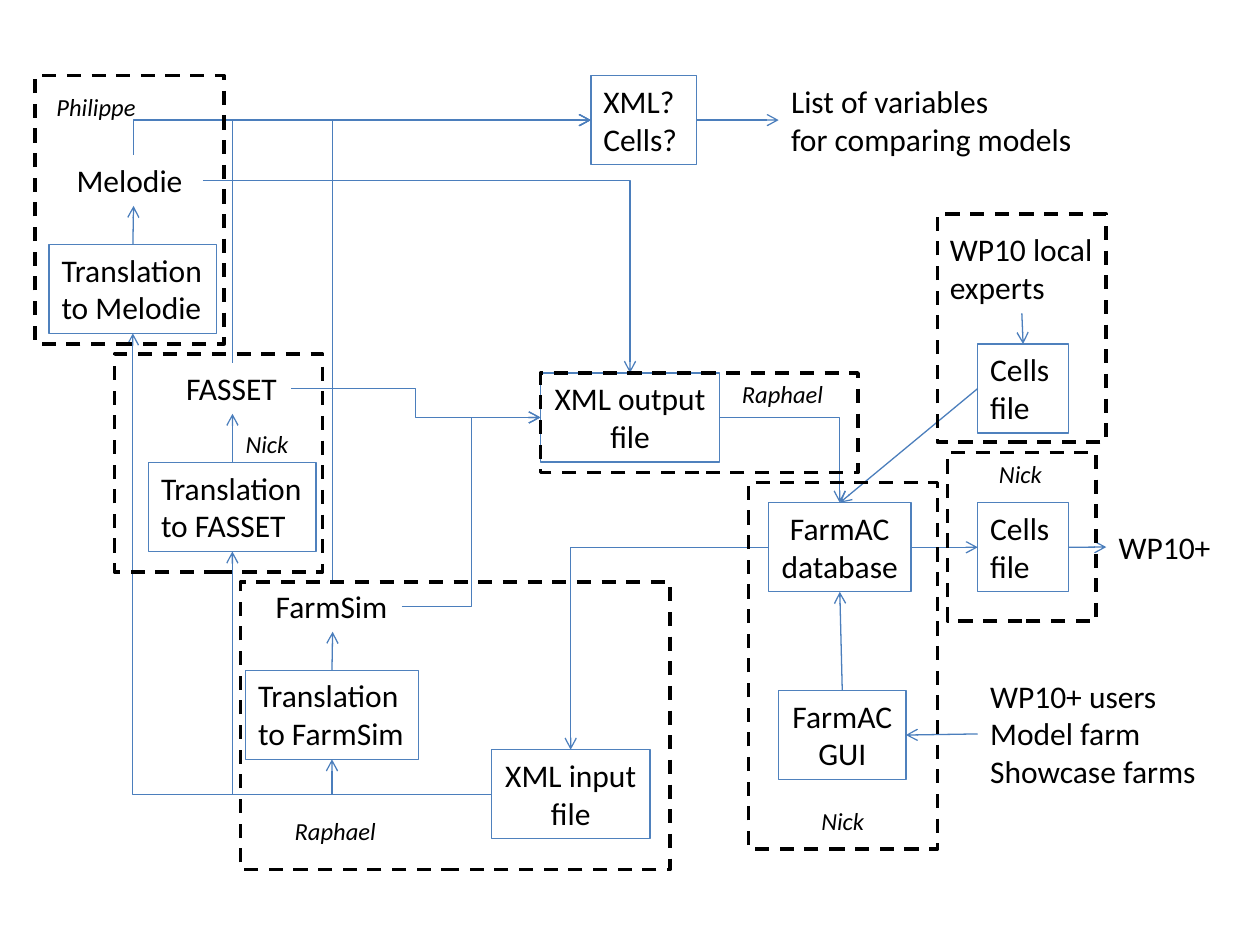
from pptx import Presentation
from pptx.dml.color import RGBColor
from pptx.enum.dml import MSO_LINE
from pptx.enum.shapes import MSO_CONNECTOR, MSO_SHAPE
from pptx.enum.text import MSO_AUTO_SIZE, PP_ALIGN
from pptx.oxml.ns import qn
from pptx.util import Inches, Pt
from lxml.etree import SubElement

COLORS = {"text": "000000", "box": "4F81BD", "arrow": "4B7EBC", "group": "000000"}
TOP, LEFT, BOTTOM, RIGHT = range(4)

deck = Presentation()
deck.slide_width, deck.slide_height = Inches(10), Inches(7.5)
COL, ROW = deck.slide_width / 100, deck.slide_height / 75
slide = deck.slides.add_slide(deck.slide_layouts[6])


def grid(left, top, width, height):
    return int(left * COL), int(top * ROW), int(width * COL), int(height * ROW)


def label(area, lines, size=18, italic=False, centred=False, wrap=False):
    box = slide.shapes.add_textbox(*grid(*area))
    frame = box.text_frame
    frame.word_wrap = wrap
    frame.auto_size = MSO_AUTO_SIZE.SHAPE_TO_FIT_TEXT
    frame.text = lines
    for paragraph in frame.paragraphs:
        paragraph.alignment = PP_ALIGN.CENTER if centred else PP_ALIGN.LEFT
        paragraph.font.name = "Calibri"
        paragraph.font.size = Pt(size)
        paragraph.font.italic = italic
        paragraph.font.color.rgb = RGBColor.from_string(COLORS["text"])
    return box


BOX_HEIGHT = 7.07
boxes = {
    "comparison": (46.9, 6, 8.4, "XML?\nCells?", False),
    "output": (42.9, 29.6, 14.2, "XML output\nfile", True),
    "database": (61, 39.9, 11.3, "FarmAC\ndatabase", True),
    "gui": (61.8, 54.8, 10.1, "FarmAC\nGUI", True),
    "input": (39, 59.5, 12.6, "XML input\nfile", True),
    "to_melodie": (3.9, 19.4, 13.3, "Translation\nto Melodie", False),
    "to_farmsim": (19.5, 53.2, 13.7, "Translation\nto FarmSim", False),
    "to_fasset": (11.8, 36.7, 13.3, "Translation\nto FASSET", False),
    "expert_file": (77.6, 27.3, 7.2, "Cells\nfile", False),
    "result_file": (77.6, 39.9, 7.2, "Cells\nfile", False),
}
texts = {
    "fasset": (13.8, 28.8, 9.3, 4.04, "FASSET"),
    "farmsim": (20.9, 46.1, 11, 4.04, "FarmSim"),
    "melodie": (5.1, 12.3, 11, 4.04, "Melodie"),
    "wp10": (87.8, 41.4, 9.4, 4.04, "WP10+"),
    "users": (77.6, 53.2, 18.5, 10.1, "WP10+ users\nModel farm\nShowcase farms"),
    "variables": (61.8, 6, 24.5, 7.07, "List of variables\nfor comparing models"),
    "experts": (74.4, 17.8, 13.4, 7.07, "WP10 local\nexperts"),
}
nodes = {}
for key, (left, top, width, lines, centred) in boxes.items():
    nodes[key] = label((left, top, width, BOX_HEIGHT), lines, centred=centred)
    nodes[key].line.color.rgb = RGBColor.from_string(COLORS["box"])
    nodes[key].line.width = Pt(0.75)
for key, (*area, lines) in texts.items():
    nodes[key] = label(area, lines, wrap=key == "melodie")

straight, corner, step = "line", "bentConnector2", "bentConnector3"
links = [
    ("database", RIGHT, "result_file", LEFT, straight, "tailEnd"),
    ("users", LEFT, "gui", RIGHT, straight, "tailEnd"),
    ("comparison", RIGHT, "variables", LEFT, straight, "tailEnd"),
    ("gui", TOP, "database", BOTTOM, straight, "tailEnd"),
    ("expert_file", LEFT, "database", TOP, straight, "tailEnd"),
    ("experts", BOTTOM, "expert_file", TOP, straight, "tailEnd"),
    ("result_file", RIGHT, "wp10", LEFT, straight, "tailEnd"),
    ("melodie", RIGHT, "output", TOP, corner, "tailEnd"),
    ("output", RIGHT, "database", TOP, corner, "tailEnd"),
    ("database", LEFT, "input", TOP, corner, "tailEnd"),
    ("fasset", RIGHT, "output", LEFT, step, "tailEnd"),
    ("farmsim", RIGHT, "output", LEFT, step, "tailEnd"),
]
for model in ("melodie", "fasset", "farmsim"):
    links += [
        ("to_" + model, TOP, model, BOTTOM, straight, "tailEnd"),
        ("input", LEFT, "to_" + model, BOTTOM, corner, "tailEnd"),
        ("comparison", LEFT, model, TOP, corner, "headEnd"),
    ]
for source, source_side, target, target_side, route, arrow_end in links:
    kind = MSO_CONNECTOR.STRAIGHT if route == straight else MSO_CONNECTOR.ELBOW
    link = slide.shapes.add_connector(kind, 0, 0, 0, 0)
    link.begin_connect(nodes[source], source_side)
    link.end_connect(nodes[target], target_side)
    link.line.color.rgb = RGBColor.from_string(COLORS["arrow"])
    link.line.width = Pt(0.75)
    properties = link._element.spPr
    properties.find(qn("a:prstGeom")).set("prst", route)
    SubElement(properties.find(qn("a:ln")), qn("a:" + arrow_end)).set("type", "arrow")
    SubElement(properties, qn("a:effectLst"))

owners = [
    (3.5, 6.8, 8.4, "Philippe"),
    (64.2, 63.5, 5.5, "Nick"),
    (18.5, 33.6, 5.5, "Nick"),
    (22.4, 64.3, 8.5, "Raphael"),
    (57.9, 29.6, 8.5, "Raphael"),
    (78.3, 35.9, 5.5, "Nick"),
]
for left, top, width, owner in owners:
    label((left, top, width, 3.4), owner, size=14, italic=True)

groups = [
    (2.8, 6, 15, 21.3),
    (9.1, 28.1, 16.5, 17.3),
    (19.1, 46.2, 34.1, 22.8),
    (59.4, 38.3, 15, 29.1),
    (42.9, 29.6, 25.2, 7.9),
    (75.2, 35.9, 11.8, 13.4),
    (74.4, 17, 13.4, 18.1),
]
for area in groups:
    group = slide.shapes.add_shape(MSO_SHAPE.RECTANGLE, *grid(*area))
    group.shadow.inherit = False
    group.fill.background()
    group.line.color.rgb = RGBColor.from_string(COLORS["group"])
    group.line.width = Pt(2)
    group.line.dash_style = MSO_LINE.DASH

deck.save("out.pptx")
